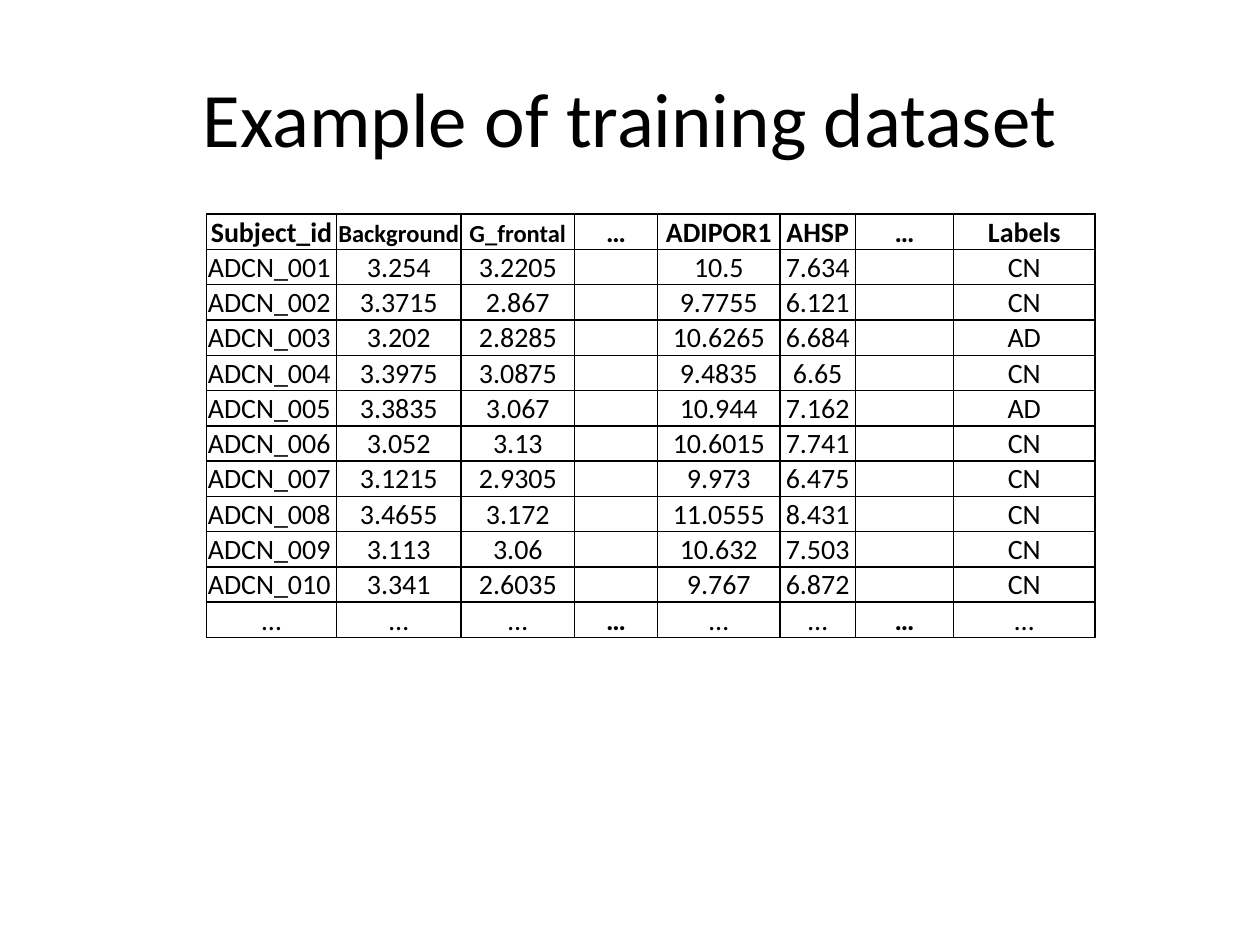
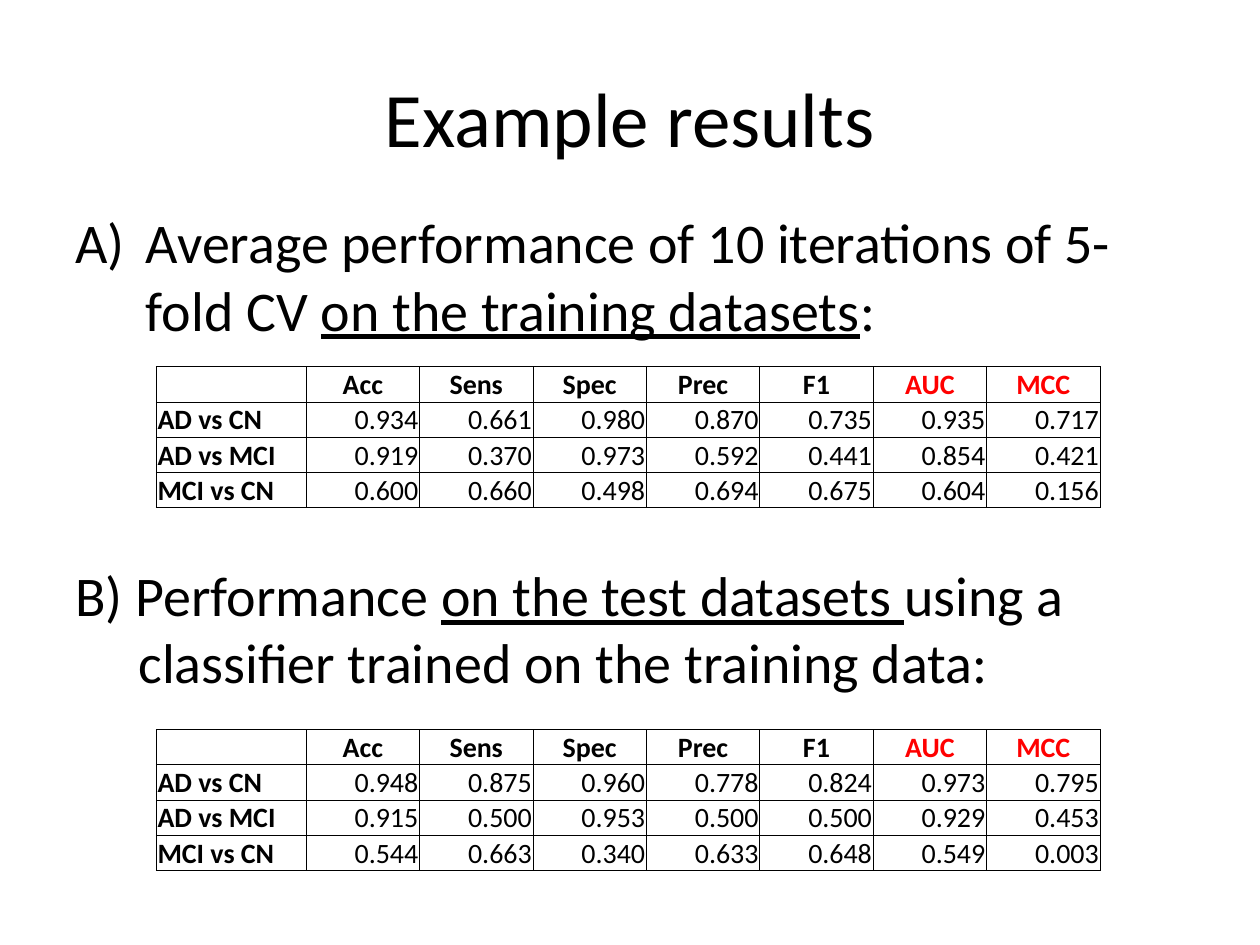
import pptx
import pptx.util
import pptx.dml.color
import pptx.enum.text
import pptx.oxml
import pptx.oxml.ns
import lxml.etree

Inches = pptx.util.Inches
Pt = pptx.util.Pt
ALIGN = pptx.enum.text.PP_ALIGN
ANCHOR = pptx.enum.text.MSO_ANCHOR

BLACK = pptx.dml.color.RGBColor(0, 0, 0)
RED = pptx.dml.color.RGBColor(255, 0, 0)
FACE = "Calibri"

SUBJECTS = [
    "Subject_id|Background|G_frontal|…|ADIPOR1|AHSP|…|Labels",
    "ADCN_001|3.254|3.2205||10.5|7.634||CN",
    "ADCN_002|3.3715|2.867||9.7755|6.121||CN",
    "ADCN_003|3.202|2.8285||10.6265|6.684||AD",
    "ADCN_004|3.3975|3.0875||9.4835|6.65||CN",
    "ADCN_005|3.3835|3.067||10.944|7.162||AD",
    "ADCN_006|3.052|3.13||10.6015|7.741||CN",
    "ADCN_007|3.1215|2.9305||9.973|6.475||CN",
    "ADCN_008|3.4655|3.172||11.0555|8.431||CN",
    "ADCN_009|3.113|3.06||10.632|7.503||CN",
    "ADCN_010|3.341|2.6035||9.767|6.872||CN",
    "…|…|…|…|…|…|…|…",
]
SCORES = "|Acc|Sens|Spec|Prec|F1|AUC|MCC"
TRAIN = [
    SCORES,
    "AD vs CN|0.934|0.661|0.980|0.870|0.735|0.935|0.717",
    "AD vs MCI|0.919|0.370|0.973|0.592|0.441|0.854|0.421",
    "MCI vs CN|0.600|0.660|0.498|0.694|0.675|0.604|0.156",
]
TEST = [
    SCORES,
    "AD vs CN|0.948|0.875|0.960|0.778|0.824|0.973|0.795",
    "AD vs MCI|0.915|0.500|0.953|0.500|0.500|0.929|0.453",
    "MCI vs CN|0.544|0.663|0.340|0.633|0.648|0.549|0.003",
]


def set_font(para, size, bold=False, color=BLACK):
    font = para.font
    font.name = FACE
    font.size = Pt(size)
    font.bold = bold
    font.color.rgb = color


def add_text(slide, box, lines, size, align=ALIGN.LEFT, anchor=ANCHOR.TOP):
    frame = slide.shapes.add_textbox(*map(Inches, box)).text_frame
    frame.word_wrap = True
    frame.vertical_anchor = anchor
    for index, line in enumerate(lines):
        para = frame.add_paragraph() if index else frame.paragraphs[0]
        para.alignment = align
        set_font(para, size)
        for text, under in line:
            run = para.add_run()
            run.text = text
            if under:
                run.font.underline = True
    return frame.paragraphs


def add_title(slide, text):
    add_text(slide, (0.5, 0.3, 9, 1.25), [[(text, False)]], 44,
             ALIGN.CENTER, ANCHOR.MIDDLE)


def indent(para, left, first=0):
    props = para._p.get_or_add_pPr()
    props.set("marL", str(Inches(left)))
    props.set("indent", str(Inches(first)))
    return props


def add_border(cell, width):
    props = cell._tc.get_or_add_tcPr()
    qn = pptx.oxml.ns.qn
    for index, side in enumerate(("lnL", "lnR", "lnT", "lnB")):
        line = lxml.etree.Element(qn("a:" + side), w=str(Pt(width)))
        fill = lxml.etree.SubElement(line, qn("a:solidFill"))
        lxml.etree.SubElement(fill, qn("a:srgbClr"), val=str(BLACK))
        props.insert(index, line)


def add_table(slide, left, top, widths, rows, line, style):
    high = 0.28
    table = slide.shapes.add_table(
        len(rows), len(widths), Inches(left), Inches(top),
        Inches(sum(widths)), Inches(high * len(rows))).table
    table.first_row = table.horz_banding = False
    for col, width in zip(table.columns, widths):
        col.width = Inches(width)
    for r, row in enumerate(rows):
        table.rows[r].height = Inches(high)
        for c, text in enumerate(row.split("|")):
            cell = table.cell(r, c)
            cell.fill.background()
            add_border(cell, line)
            cell.margin_left = cell.margin_right = Inches(0.01)
            cell.margin_top = Inches(0.01)
            cell.margin_bottom = 0
            cell.vertical_anchor = ANCHOR.BOTTOM
            cell.text = text
            para = cell.text_frame.paragraphs[0]
            para.alignment, size, bold, color = style(r, c, text)
            set_font(para, size, bold, color)


def subject_style(r, c, text):
    name = c == 0 and text.startswith("ADCN")
    size = 14 if r == 0 and c in (1, 2) else 16
    bold = r == 0 or c in (3, 6)
    return ALIGN.LEFT if name else ALIGN.CENTER, size, bold, BLACK


def score_style(r, c, text):
    if r == 0:
        return ALIGN.CENTER, 16, True, RED if c > 5 else BLACK
    return ALIGN.RIGHT if c else ALIGN.LEFT, 16, c == 0, BLACK


def add_scores(slide, top, rows):
    add_table(slide, 1.24, top, [1.19] + [0.9] * 7, rows, 0.5, score_style)


def build_data(slide):
    add_title(slide, "Example of training dataset")
    widths = [1.03, 0.99, 0.9, 0.66, 0.97, 0.6, 0.78, 1.12]
    add_table(slide, 1.64, 1.7, widths, SUBJECTS, 1, subject_style)


def build_results(slide):
    add_title(slide, "Example results")
    train = add_text(slide, (0.5, 1.6, 9, 1.38), [[
        ("Average performance of 10 iterations of 5-fold CV ", False),
        ("on the training datasets", True), (":", False)]], 32)
    props = indent(train[0], 0.56, -0.56)
    mark = lxml.etree.Element(pptx.oxml.ns.qn("a:buAutoNum"),
                              type="alphaUcParenR")
    props.insert(0, mark)
    add_scores(slide, 2.91, TRAIN)
    test = add_text(slide, (0.5, 4.4, 8.72, 1.18), [
        [("B) Performance ", False), ("on the test datasets ", True),
         ("using a", False)],
        [("classifier trained on the training data:", False)]], 32)
    indent(test[1], 0.5)
    add_scores(slide, 5.79, TEST)


def main():
    deck = pptx.Presentation()
    deck.slide_width = Inches(10)
    deck.slide_height = Inches(7.5)
    for build in (build_data, build_results):
        build(deck.slides.add_slide(deck.slide_layouts[6]))
    deck.save("out.pptx")


if __name__ == "__main__":
    main()
